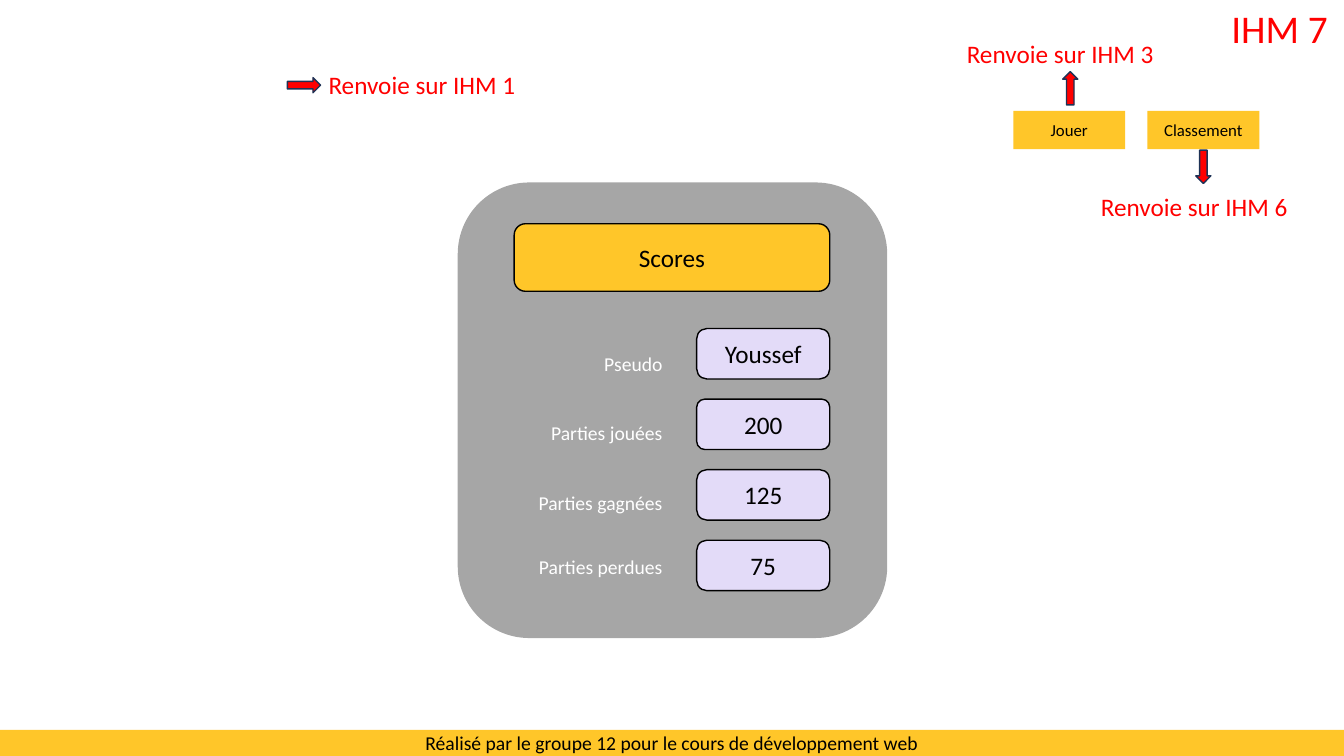
"""Builds the scores screen of a game mock-up, with its navigation notes."""
from lxml import etree
from pptx import Presentation
from pptx.dml.color import RGBColor
from pptx.enum.shapes import MSO_SHAPE
from pptx.enum.text import MSO_ANCHOR, PP_ALIGN
from pptx.oxml.ns import qn
from pptx.util import Inches, Pt

RECTANGLE, ROUNDED = MSO_SHAPE.RECTANGLE, MSO_SHAPE.ROUNDED_RECTANGLE
ARROW = MSO_SHAPE.RIGHT_ARROW
LEFT, CENTER, RIGHT = PP_ALIGN.LEFT, PP_ALIGN.CENTER, PP_ALIGN.RIGHT
TOP, MIDDLE = MSO_ANCHOR.TOP, MSO_ANCHOR.MIDDLE
YELLOW, LILAC, RED, BLACK, WHITE = "FFC629", "E3DBF8", "FF0000", "000000", "FFFFFF"
NAVY = "1E3256"

deck = Presentation()
deck.slide_width, deck.slide_height = Inches(13.33), Inches(7.5)
page = deck.slides.add_slide(deck.slide_layouts[6])


def add_box(kind, left, top, width, height, fill=None, line=None):
    """Adds a preset shape with an optional fill and outline."""
    box = page.shapes.add_shape(kind, Inches(left), Inches(top), Inches(width), Inches(height))
    box.shadow.inherit = False
    if fill:
        box.fill.solid()
        box.fill.fore_color.rgb = RGBColor.from_string(fill)
    else:
        box.fill.background()
    if line:
        box.line.color.rgb = RGBColor.from_string(line)
        box.line.width = Pt(1)
    else:
        box.line.fill.background()
    return box


def write(box, text, size, color=BLACK, align=CENTER, anchor=MIDDLE):
    """Puts one line of text in a box."""
    frame = box.text_frame
    frame.word_wrap = True
    frame.vertical_anchor = anchor
    para = frame.paragraphs[0]
    para.alignment = align
    span = para.add_run()
    span.text = text
    span.font.name = "Calibri"
    span.font.size = Pt(size)
    span.font.color.rgb = RGBColor.from_string(color)


panel = add_box(ROUNDED, 4.54, 1.81, 4.26, 4.52, BLACK)
panel_color = panel.fill._xPr.find(qn("a:solidFill"))[0]
etree.SubElement(panel_color, qn("a:alpha")).set("val", "35000")

write(add_box(ROUNDED, 5.1, 2.22, 3.13, 0.67, YELLOW, BLACK), "Scores", 18)

scores = [
    ("Pseudo", "Youssef", 3.44, 0.2),
    ("Parties jouées", "200", 4.13, 0.16),
    ("Parties gagnées", "125", 4.82, 0.2),
    ("Parties perdues", "75", 5.46, 0.2),
]
for row, (label, value, label_top, rounding) in enumerate(scores):
    caption = page.shapes.add_textbox(Inches(5.2), Inches(label_top), Inches(1.47), Inches(0.34))
    write(caption, label, 14, WHITE, RIGHT, TOP)
    field = add_box(ROUNDED, 6.91, 3.26 + 0.7 * row, 1.32, 0.5, LILAC, BLACK)
    field.adjustments[0] = rounding
    write(field, value, 18)

footer = add_box(RECTANGLE, 0, 7.24, 13.33, 0.26, YELLOW)
write(footer, "Réalisé par le groupe 12 pour le cours de développement web", 14)
write(add_box(RECTANGLE, 12.05, -0.01, 1.28, 0.57, WHITE), "IHM 7", 28, RED)

for label, left in [("Jouer", 10.05), ("Classement", 11.38)]:
    write(add_box(RECTANGLE, left, 1.1, 1.11, 0.38, YELLOW), label, 12)

for left, top, rotation in [(2.85, 0.77, 0), (10.45, 0.8, 270), (11.77, 1.58, 90)]:
    add_box(ARROW, left, top, 0.33, 0.15, RED, NAVY).rotation = rotation

for screen, left, top in [(1, 3.16, 0.64), (3, 9.49, 0.33), (6, 10.82, 1.85)]:
    note = page.shapes.add_textbox(Inches(left), Inches(top), Inches(2.22), Inches(0.4))
    write(note, f"Renvoie sur IHM {screen}", 18, RED, LEFT, TOP)

deck.save("out.pptx")
